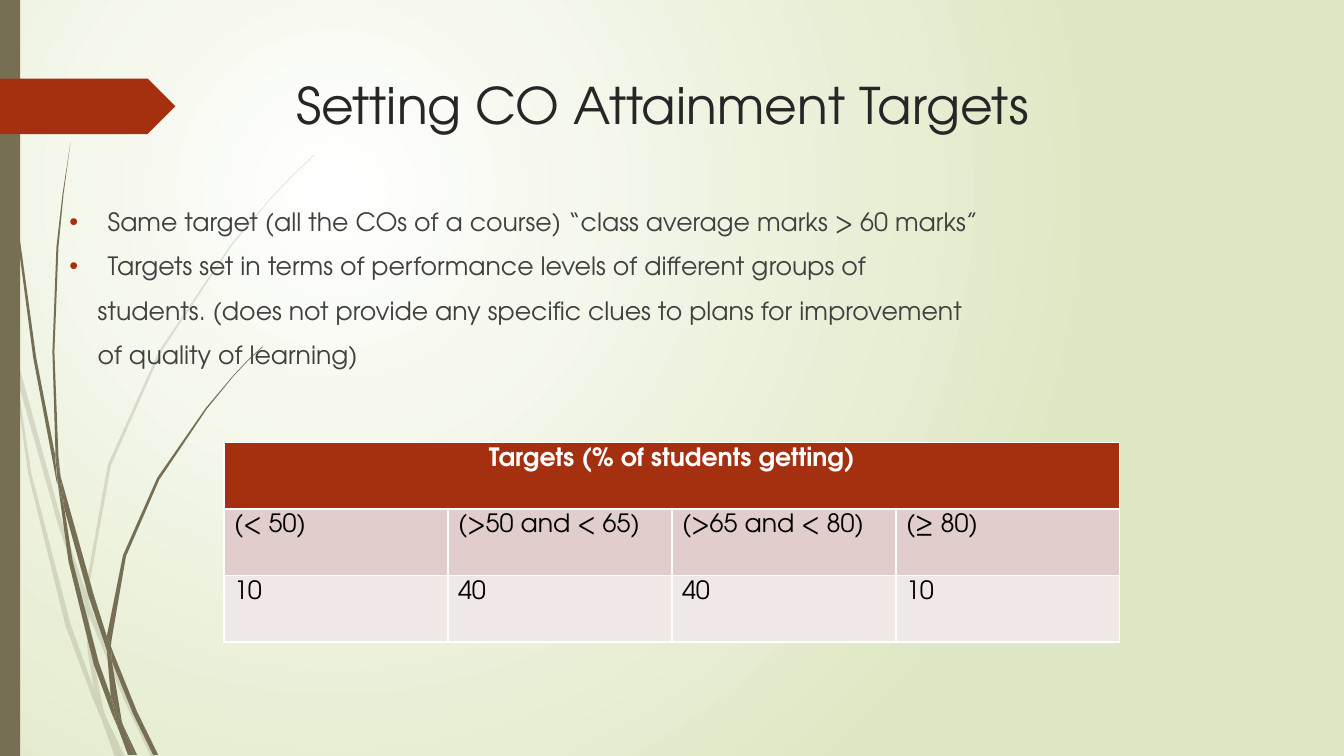
from pptx import Presentation
from pptx.dml.color import RGBColor
from pptx.enum.shapes import MSO_SHAPE as Preset
from pptx.enum.text import MSO_ANCHOR as Anchor, PP_ALIGN as Align
from pptx.oxml import parse_xml
from pptx.oxml.ns import nsdecls, qn
from pptx.util import Inches, Pt
from lxml.etree import SubElement

FONT = "TeX Gyre Adventor"
COLORS = {
    "title": "262626", "body": "404040", "accent": "A53010", "stem": "766F54",
    "white": "FFFFFF", "black": "000000", "sage": "DFE8C4",
    "band": "E1CDCC", "light band": "F0E8E7",
}
BODY = [
    ("Same target (all the COs of a course) “class average marks > 60 marks”", True),
    ("Targets set in terms of performance levels of different groups of", True),
    ("students. (does not provide any specific clues to plans for improvement", False),
    ("of quality of learning)", False),
]
TABLE_HEADER = "Targets (% of students getting)"
TABLE_ROWS = [
    ("band", ["(< 50)", "(>50 and < 65)", "(>65 and < 80)", "(≥ 80)"]),
    ("light band", ["10", "40", "40", "10"]),
]
# Outlines of the pieces of grass, as corners in inches
PALE_GRASS = [
    [(0.11, 3.5), (0.09, 3.22), (0, 2.82), (0, 2.99), (0.1, 3.44)],
    [(0.58, 5.22), (0.84, 5.99), (0.85, 5.86), (0.62, 5.2), (0.14, 3.45), (0.17, 3.76)],
    [(0.92, 6.07), (0.88, 5.96), (0.88, 6.1), (1.23, 6.94), (1.5, 7.51), (1.55, 7.51),
     (1.27, 6.92)],
    [(1.19, 7.51), (1.24, 7.51), (1.05, 7.11)],
    [(0.93, 6.83), (0.7, 6.19), (0.31, 4.69), (0.17, 3.76), (0.11, 3.5), (0.28, 4.7),
     (0.65, 6.21), (0.92, 6.93), (1.01, 7.14), (0.99, 7.07)],
    [(0.84, 5.99), (0.87, 6.46), (0.93, 6.83), (0.96, 6.92), (1.05, 7.11), (1.03, 7.06),
     (0.91, 6.46), (0.88, 6.1), (0.88, 6.08)],
    [(0.88, 5.84), (1.1, 4.62), (1.6, 3.49), (2.29, 2.45), (2.68, 1.98), (2.9, 1.75),
     (3.12, 1.54), (3.12, 1.53), (2.89, 1.75), (2.68, 1.97), (2.28, 2.44), (1.58, 3.48),
     (1.07, 4.61), (0.85, 5.84), (0.85, 5.86), (0.88, 5.96)],
    [(1.01, 7.14), (1.14, 7.51), (1.19, 7.51)],
    [(0.88, 6.08), (0.88, 6.1), (0.88, 5.96), (0.85, 5.86), (0.84, 5.99)],
    [(0.96, 6.92), (0.93, 6.83), (0.99, 7.07), (1.01, 7.14), (1.19, 7.51), (1.05, 7.11)],
]
DARK_GRASS = [
    [(0.07, 1.1), (0.17, 2.33), (0.33, 3.55), (0.56, 4.77), (0.57, 4.81), (0.55, 4.57),
     (0.55, 4.53), (0.36, 3.55), (0.19, 2.32), (0.08, 1.09), (0.05, 0.48), (0.04, 0),
     (0.03, 0), (0.04, 0.48)],
    [(0.88, 5.92), (1.06, 6.45), (1.06, 6.33), (1.06, 6.31), (0.93, 5.9), (0.6, 4.72),
     (0.64, 5.05)],
    [(1.13, 6.49), (1.1, 6.41), (1.11, 6.56), (1.32, 7.08), (1.52, 7.49), (1.57, 7.49),
     (1.36, 7.06)],
    [(1.1, 6.91), (0.98, 6.57), (0.72, 5.56), (0.64, 5.05), (0.57, 4.77), (0.68, 5.57),
     (0.93, 6.59), (1.11, 7.08), (1.17, 7.22), (1.16, 7.17)],
    [(0.6, 4.72), (0.58, 4.53), (0.54, 3.49), (0.58, 2.45), (0.63, 1.93), (0.7, 1.41),
     (0.62, 1.93), (0.56, 2.45), (0.52, 3.49), (0.55, 4.49)],
    [(1.33, 7.49), (1.36, 7.49), (1.22, 7.19)],
    [(0.57, 4.77), (0.64, 5.05), (0.6, 4.72), (0.55, 4.49), (0.55, 4.53)],
    [(1.11, 6.33), (1.25, 5.52), (1.58, 4.76), (2.05, 4.06), (2.31, 3.74), (2.45, 3.59),
     (2.61, 3.44), (2.6, 3.44), (2.45, 3.58), (2.31, 3.73), (2.04, 4.05), (1.56, 4.74),
     (1.22, 5.51), (1.06, 6.31), (1.1, 6.41)],
    [(1.17, 7.22), (1.27, 7.49), (1.31, 7.49)],
    [(1.06, 6.45), (1.1, 6.91), (1.16, 7.06), (1.22, 7.19), (1.21, 7.16), (1.11, 6.56),
     (1.09, 6.51)],
    [(1.06, 6.45), (1.09, 6.51), (1.11, 6.56), (1.1, 6.41), (1.06, 6.31), (1.06, 6.33)],
    [(1.16, 7.06), (1.1, 6.91), (1.16, 7.17), (1.17, 7.22), (1.3, 7.49), (1.33, 7.49),
     (1.22, 7.19)],
]


def color(name):
    return RGBColor.from_string(COLORS[name])


def paint_background(page):
    """Circular gradient, brightest in the upper left."""
    page.background.fill.solid()
    properties = page.background._cSld.find(qn("p:bg")).find(qn("p:bgPr"))
    properties.replace(properties[0], parse_xml(
        f'<a:gradFill {nsdecls("a")} rotWithShape="1"><a:gsLst>'
        f'<a:gs pos="0"><a:srgbClr val="{COLORS["white"]}"/></a:gs>'
        f'<a:gs pos="100000"><a:srgbClr val="{COLORS["sage"]}"/></a:gs></a:gsLst>'
        '<a:path path="circle"><a:fillToRect l="50000" t="50000" r="100000" b="100000"/>'
        '</a:path></a:gradFill>'))


def paint(shape, fill, opacity=100):
    shape.shadow.inherit = False
    shape.line.fill.background()
    shape.fill.solid()
    shape.fill.fore_color.rgb = color(fill)
    if opacity < 100:
        tint = shape._element.spPr.find(qn("a:solidFill"))[0]
        SubElement(tint, qn("a:alpha")).set("val", str(opacity * 1000))


def add_grass(page, outlines, opacity=100):
    for outline in outlines:
        corners = [(Inches(x), Inches(y)) for x, y in outline]
        builder = page.shapes.build_freeform(*corners[0], scale=1.0)
        builder.add_line_segments(corners[1:], close=True)
        paint(builder.convert_to_shape(), "stem", opacity)


def add_block(page, preset, left, top, width, height, fill):
    block = page.shapes.add_shape(
        preset, Inches(left), Inches(top), Inches(width), Inches(height))
    paint(block, fill)


def add_text_frame(page, left, top, width, height):
    box = page.shapes.add_textbox(
        Inches(left), Inches(top), Inches(width), Inches(height))
    box.text_frame.word_wrap = True
    return box.text_frame


def add_span(para, text, size, ink, bold=False):
    span = para.add_run()
    span.text = text
    span.font.name = FONT
    span.font.size = Pt(size)
    span.font.bold = bold
    span.font.color.rgb = color(ink)


def indent(para, bulleted):
    properties = para._p.get_or_add_pPr()
    properties.set("marL", str(Inches(0.38 if bulleted else 0.28)))
    properties.set("indent", str(Inches(-0.38 if bulleted else 0)))
    if bulleted:
        tint = SubElement(properties, qn("a:buClr"))
        SubElement(tint, qn("a:srgbClr")).set("val", COLORS["accent"])
        SubElement(properties, qn("a:buFont")).set("typeface", "Arial")
        SubElement(properties, qn("a:buChar")).set("char", "•")


def add_body(page):
    frame = add_text_frame(page, 0.59, 2, 12.08, 4.76)
    for index, (text, bulleted) in enumerate(BODY):
        para = frame.add_paragraph() if index else frame.paragraphs[0]
        para.space_before = Pt(10)
        indent(para, bulleted)
        add_span(para, text, 18, "body")


def fill_cell(cell, fill):
    cell.fill.solid()
    cell.fill.fore_color.rgb = color(fill)
    cell.vertical_anchor = Anchor.TOP


def add_targets_table(page):
    """Table whose white rules come from the default table style."""
    columns = len(TABLE_ROWS[0][1])
    table = page.shapes.add_table(
        len(TABLE_ROWS) + 1, columns,
        Inches(20 / 9), Inches(4.39), Inches(80 / 9), Inches(1.98)).table
    for column in range(columns):
        fill_cell(table.cell(0, column), "accent")
    header = table.cell(0, 0)
    header.merge(table.cell(0, columns - 1))
    para = header.text_frame.paragraphs[0]
    para.alignment = Align.CENTER
    add_span(para, TABLE_HEADER, 18, "white", bold=True)
    for row, (fill, texts) in enumerate(TABLE_ROWS, start=1):
        for column, text in enumerate(texts):
            cell = table.cell(row, column)
            fill_cell(cell, fill)
            add_span(cell.text_frame.paragraphs[0], text, 18, "black")


def main():
    deck = Presentation()
    deck.slide_width, deck.slide_height = Inches(40 / 3), Inches(7.5)
    page = deck.slides.add_slide(deck.slide_layouts[6])
    paint_background(page)
    add_grass(page, PALE_GRASS, opacity=20)
    add_grass(page, DARK_GRASS)
    add_block(page, Preset.RECTANGLE, 0, 0, 0.2, 7.5, "stem")
    add_block(page, Preset.PENTAGON, 0, 0.78, 1.74, 0.55, "accent")
    title = add_text_frame(page, 2.84, 0.69, 9.75, 1.4)
    add_span(title.paragraphs[0], "Setting CO Attainment Targets", 36, "title")
    add_body(page)
    add_targets_table(page)
    deck.save("out.pptx")


if __name__ == "__main__":
    main()
